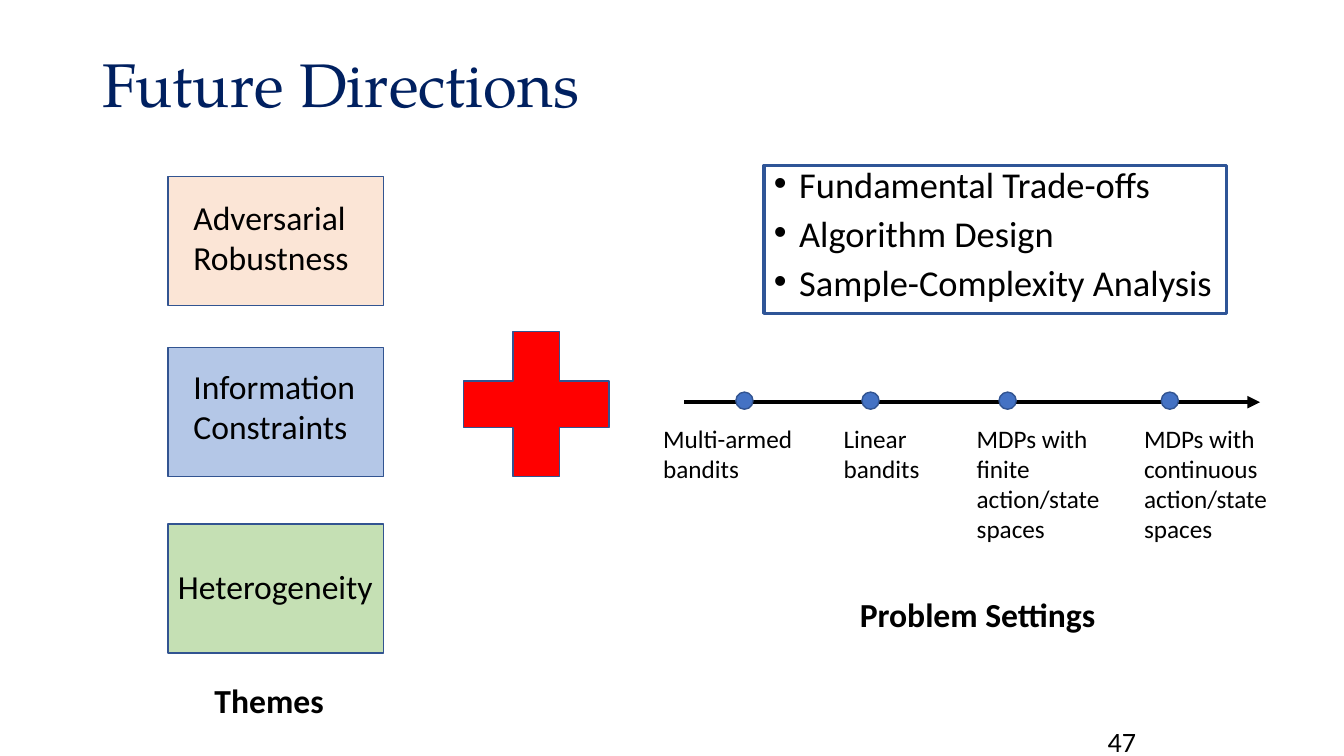
"""Build the Future Directions slide: themes plus problem settings."""
from lxml.etree import SubElement
from pptx import Presentation
from pptx.dml.color import RGBColor
from pptx.enum.shapes import MSO_CONNECTOR, MSO_SHAPE
from pptx.enum.text import MSO_ANCHOR, PP_ALIGN
from pptx.oxml.ns import qn
from pptx.util import Inches, Pt

hues = {"ink": "000000", "navy": "002060", "edge": "325491", "frame": "2F5597",
        "peach": "FBE5D6", "sky": "B4C7E7", "leaf": "C5E0B4",
        "red": "FF0000", "dot": "4472C4"}

deck = Presentation()
deck.slide_width, deck.slide_height = Inches(13.33), Inches(7.5)
slide = deck.slides.add_slide(deck.slide_layouts[6])
wide, high = deck.slide_width / 100, deck.slide_height / 100


def draw(kind, x, y, w, h, fill=None, edge="edge", line=1):
    """Add a preset shape, placed in percent of the slide."""
    shape = slide.shapes.add_shape(
        kind, int(x * wide), int(y * high), int(w * wide), int(h * high))
    shape.shadow.inherit = False
    if fill:
        shape.fill.solid()
        shape.fill.fore_color.rgb = RGBColor.from_string(hues[fill])
    else:
        shape.fill.background()
    shape.line.color.rgb = RGBColor.from_string(hues[edge])
    shape.line.width = Pt(line)
    return shape


def write(text, x, y, w, h, size, box=None, hue="ink", bullet=False,
          anchor=MSO_ANCHOR.TOP, para={}, **font):
    """Write text in a box, or in a new one placed in percent of the slide."""
    box = box or slide.shapes.add_textbox(
        int(x * wide), int(y * high), int(w * wide), int(h * high))
    frame = box.text_frame
    frame.word_wrap, frame.vertical_anchor = True, anchor
    frame.text = text
    look = {"name": "Calibri", "size": Pt(size), **font}
    for item in frame.paragraphs:
        for key, value in {"alignment": PP_ALIGN.LEFT, **para}.items():
            setattr(item, key, value)
        if bullet:
            props = item._p.get_or_add_pPr()
            props.set("marL", str(Inches(0.25)))
            props.set("indent", str(-Inches(0.25)))
            SubElement(props, qn("a:buFont")).set("typeface", "Arial")
            SubElement(props, qn("a:buChar")).set("char", "•")
        for key, value in look.items():
            setattr(item.font, key, value)
        item.font.color.rgb = RGBColor.from_string(hues[hue])
    frame.paragraphs[0].space_before = Pt(0)


write("47", 66.9, 96.13, 33.15, 3.87, 20, anchor=MSO_ANCHOR.MIDDLE,
      para={"alignment": PP_ALIGN.CENTER})
write("Future Directions", 6.9, 5.33, 86.25, 12.4, 44, hue="navy",
      anchor=MSO_ANCHOR.MIDDLE, para={"line_spacing": 0.9},
      name="TeX Gyre Pagella")

themes = [("Adversarial Robustness", "peach", 23.33, 13.65, 25.33),
          ("Information\nConstraints", "sky", 46, 13.65, 47.73),
          ("Heterogeneity", "leaf", 69.33, 12.5, 74.13)]
for text, fill, top, left, row in themes:
    draw(MSO_SHAPE.RECTANGLE, 12.5, top, 16.05, 17.07, fill)
    write(text, left, row, 16.95, 12.13, 24)
write("Themes", 15.22, 89.33, 17.33, 6.67, 24, bold=True)

draw(MSO_SHAPE.MATH_PLUS, 32.55, 40.4, 14.7, 26.13, "red")

axis = slide.shapes.add_connector(
    MSO_CONNECTOR.STRAIGHT, int(50.92 * wide), int(53.2 * high),
    int(93.75 * wide), int(53.2 * high))
axis.line.color.rgb = RGBColor.from_string(hues["ink"])
axis.line.width = Pt(3)
SubElement(axis.line._get_or_add_ln(), qn("a:tailEnd")).set("type", "triangle")
SubElement(axis._element.spPr, qn("a:effectLst"))

stops = [("Multi-armed\nbandits", 54.75, 48.6, 11.93),
         ("Linear bandits", 64.13, 62.03, 8.25),
         ("MDPs with finite action/state spaces", 74.33, 71.93, 10.8),
         ("MDPs with continuous action/state spaces", 86.4, 84.38, 10.8)]
for text, spot, left, width in stops:
    draw(MSO_SHAPE.OVAL, spot, 51.87, 1.28, 2.27, "dot")
    write(text, left, 55.3, width, 17.47, 18)
write("Problem Settings", 63.23, 77.87, 23.63, 6.67, 24, bold=True)

place = 56.85, 21.87, 34.43, 19.6
goals = draw(MSO_SHAPE.RECTANGLE, *place, edge="frame", line=2.25)
write("Fundamental Trade-offs\nAlgorithm Design\nSample-Complexity Analysis",
      *place, 26, box=goals, bullet=True,
      para={"line_spacing": 0.8, "space_before": Pt(10)})

deck.save("out.pptx")
